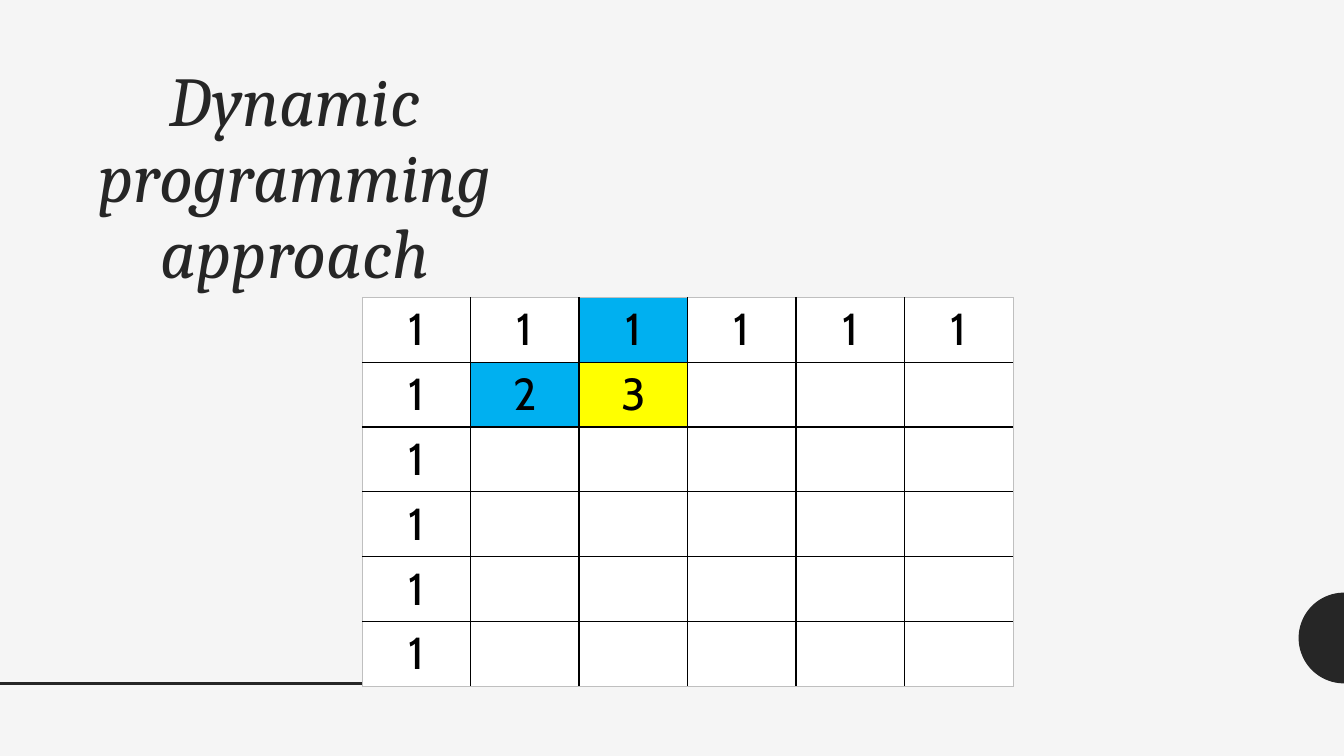
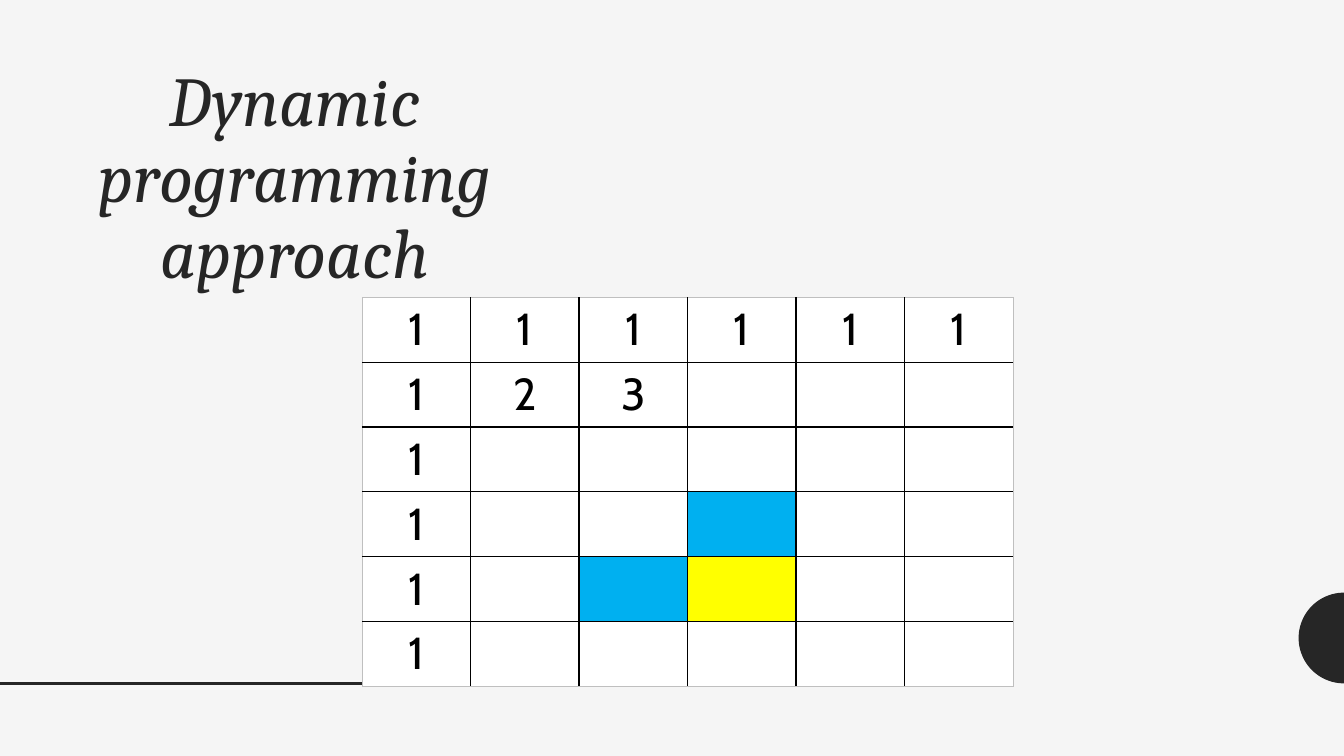
from math import cos, pi, sin

from lxml.etree import SubElement
from pptx import Presentation
from pptx.dml.color import RGBColor
from pptx.enum.shapes import MSO_CONNECTOR
from pptx.enum.text import MSO_ANCHOR, PP_ALIGN
from pptx.oxml.ns import qn
from pptx.util import Inches, Pt

COLORS = {
    "background": "F5F5F5",
    "ink": "262626",
    "text": "000000",
    "grid": "000000",
    "edge": "BFBFBF",
    "cell": "FFFFFF",
    "source": "00B0F0",
    "target": "FFFF00",
}
TITLE = "Dynamic programming approach"
TITLE_FONT = {"name": "Cambria", "size": Pt(50), "italic": True}
CELL_FONT = {"name": "Cabin", "size": Pt(32), "bold": False}
SLIDE_W, SLIDE_H = 13.33, 7.5
BASELINE = 6.78
TITLE_BOX = (0.83, 0.61, 4.19, 5.42)
GRID_BOX = (3.59, 2.95, 6.46, 3.86)
SIZE = 6
VALUES = {(0, c): "1" for c in range(SIZE)}
VALUES |= {(r, 0): "1" for r in range(SIZE)}
VALUES |= {(1, 1): "2", (1, 2): "3"}
TARGETS = [(1, 2), (4, 3)]


def rgb(name):
    return RGBColor.from_string(COLORS[name])


def format_text(p, text, font, color, align=PP_ALIGN.CENTER):
    p.alignment = align
    r = p.add_run()
    r.text = text
    for key, value in font.items():
        setattr(r.font, key, value)
    r.font.color.rgb = rgb(color)


def add_half_disc(s, right, bottom, radius, steps=48):
    center = bottom - radius
    angles = [pi / 2 + pi * i / steps for i in range(steps + 1)]
    points = [
        (Inches(right + radius * cos(a)), Inches(center + radius * sin(a)))
        for a in angles
    ]
    builder = s.shapes.build_freeform(*points[0])
    builder.add_line_segments(points[1:], close=True)
    sp = builder.convert_to_shape()
    sp.shadow.inherit = False
    sp.fill.solid()
    sp.fill.fore_color.rgb = rgb("ink")
    sp.line.fill.background()


def add_rule(s, left, right, y):
    line = s.shapes.add_connector(
        MSO_CONNECTOR.STRAIGHT, Inches(left), Inches(y), Inches(right), Inches(y)
    )
    line.line.color.rgb = rgb("ink")
    line.line.width = Pt(2)
    SubElement(line._element.spPr, qn("a:effectLst"))


def add_title(s, box, text):
    tf = s.shapes.add_textbox(*map(Inches, box)).text_frame
    tf.word_wrap = True
    tf.vertical_anchor = MSO_ANCHOR.TOP
    p = tf.paragraphs[0]
    p.line_spacing = 0.9
    format_text(p, text, TITLE_FONT, "ink")


def add_border(cell, side, color, width):
    props = cell._tc.get_or_add_tcPr()
    line = SubElement(props, qn(f"a:ln{side}"), w=str(Pt(width)))
    fill = SubElement(line, qn("a:solidFill"))
    SubElement(fill, qn("a:srgbClr"), val=COLORS[color])


def format_cell(cell, row, col, fill):
    last = SIZE - 1
    outer = {"L": col == 0, "R": col == last, "T": row == 0, "B": row == last}
    for side, is_outer in outer.items():
        add_border(cell, side, *(("edge", 0.25) if is_outer else ("grid", 1)))
    cell.fill.solid()
    cell.fill.fore_color.rgb = rgb(fill)
    if (row, col) in VALUES:
        format_text(cell.text_frame.paragraphs[0], VALUES[row, col], CELL_FONT, "text")


def add_grid(s, box, target):
    left, top, width, height = map(Inches, box)
    table = s.shapes.add_table(SIZE, SIZE, left, top, width, height).table
    table.first_row = False
    table.horz_banding = False
    row, col = target
    fills = {target: "target", (row - 1, col): "source", (row, col - 1): "source"}
    for r in range(SIZE):
        for c in range(SIZE):
            format_cell(table.cell(r, c), r, c, fills.get((r, c), "cell"))


def add_step_slide(prs, target):
    s = prs.slides.add_slide(prs.slide_layouts[6])
    add_half_disc(s, SLIDE_W, BASELINE, 0.45)
    add_rule(s, 0, 4.92, BASELINE)
    add_title(s, TITLE_BOX, TITLE)
    add_grid(s, GRID_BOX, target)


def main():
    prs = Presentation()
    prs.slide_width, prs.slide_height = Inches(SLIDE_W), Inches(SLIDE_H)
    background = prs.slide_master.background.fill
    background.solid()
    background.fore_color.rgb = rgb("background")
    for target in TARGETS:
        add_step_slide(prs, target)
    prs.save("out.pptx")


if __name__ == "__main__":
    main()
